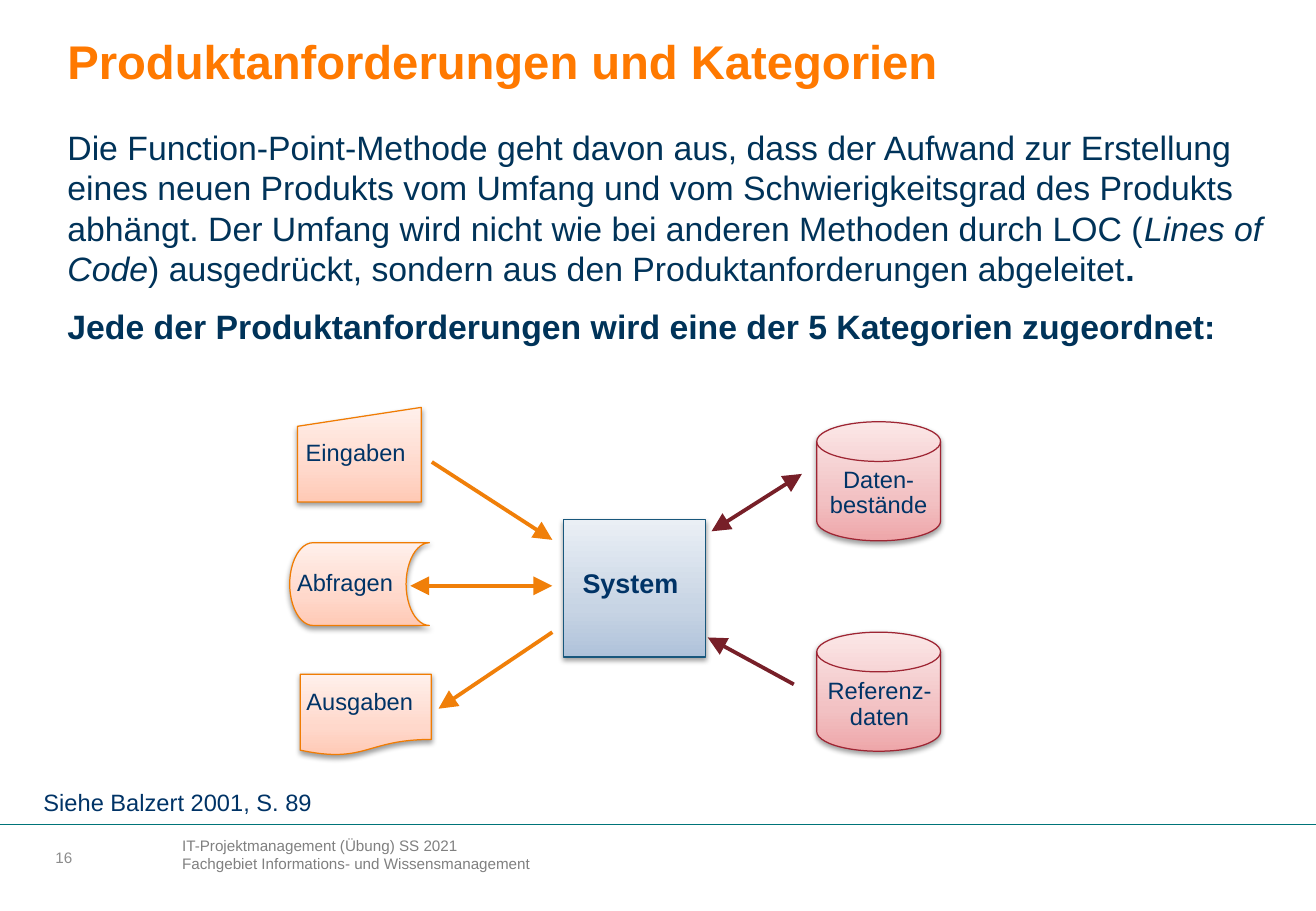
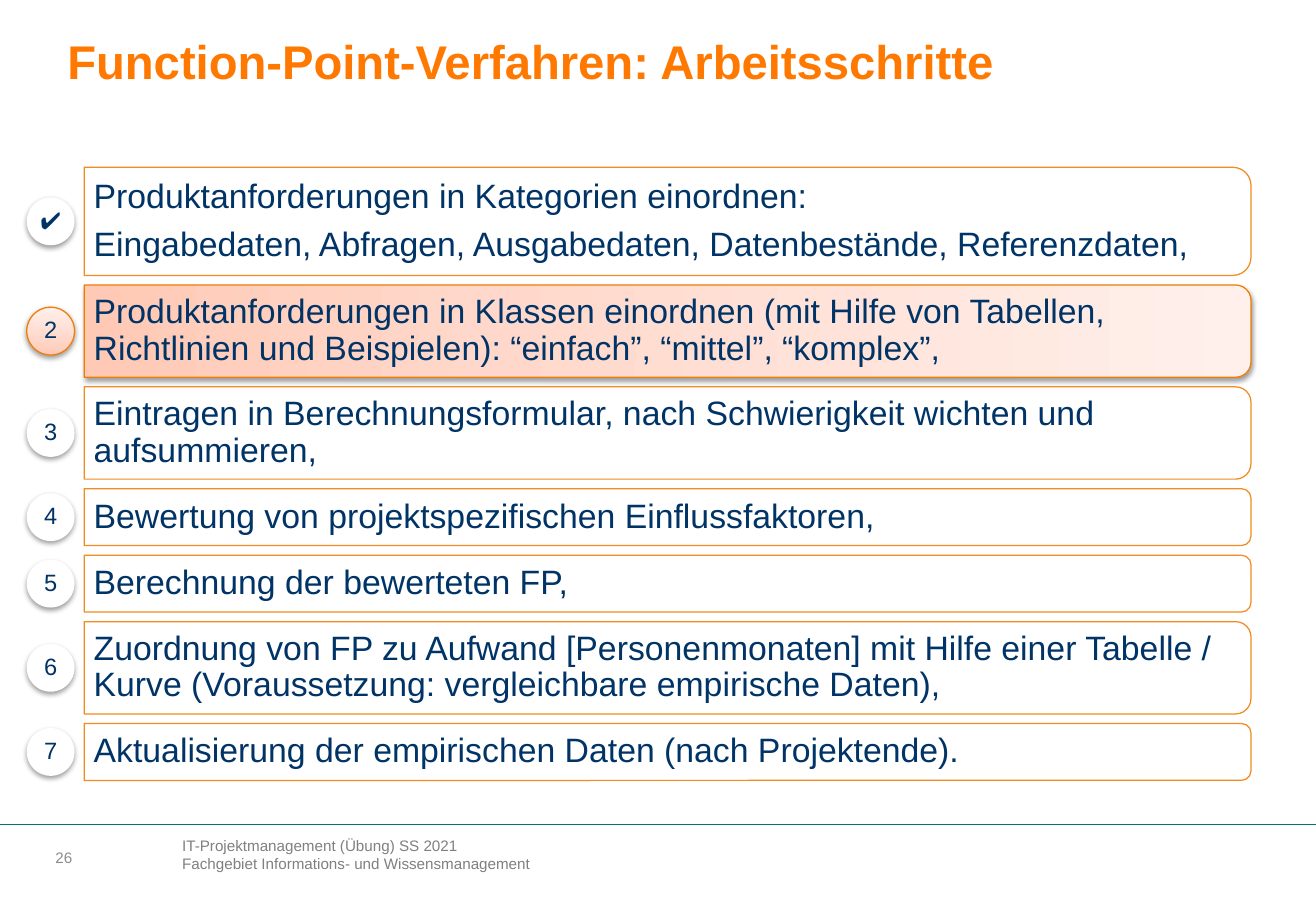
from dataclasses import dataclass

from lxml import etree
from pptx import Presentation
from pptx.dml.color import RGBColor
from pptx.enum.shapes import MSO_CONNECTOR, MSO_SHAPE
from pptx.enum.text import MSO_ANCHOR, PP_ALIGN
from pptx.oxml.ns import qn
from pptx.util import Cm, Pt

STRAIGHT = MSO_CONNECTOR.STRAIGHT
OVAL = MSO_SHAPE.OVAL
STEP_BAR = MSO_SHAPE.ROUND_2_SAME_RECTANGLE
PROCESS = MSO_SHAPE.FLOWCHART_PROCESS
MANUAL_INPUT = MSO_SHAPE.FLOWCHART_MANUAL_INPUT
STORED_DATA = MSO_SHAPE.FLOWCHART_STORED_DATA
DOCUMENT = MSO_SHAPE.FLOWCHART_DOCUMENT
DISK = MSO_SHAPE.FLOWCHART_MAGNETIC_DISK
TOP, MIDDLE = MSO_ANCHOR.TOP, MSO_ANCHOR.MIDDLE
LEFT, CENTER = PP_ALIGN.LEFT, PP_ALIGN.CENTER


@dataclass(frozen=True)
class Theme:
    font: str = "Arial"
    title: str = "FF7900"
    body: str = "003359"
    label: str = "003366"
    footer: str = "808080"
    number: str = "8C8C8C"
    rule: str = "007479"
    white: str = "FFFFFF"
    bar_line: str = "F18C21"
    orange_arrow: str = "F07F09"
    red_arrow: str = "771F28"
    # Gradients from bottom to top, then the outline
    orange: tuple = (("FFC9B5", "FFD8CB", "FFF0EB"), "F07C03")
    red: tuple = (("EEA6A9", "F2C1C3", "FBE7E7"), "9E2533")
    blue: tuple = (("AFC2DA", "C7D4E4", "EAEFF5"), "18577C")
    title_size: int = 28
    body_size: int = 20
    system_size: int = 16
    label_size: int = 14
    footer_size: int = 9
    tight: float = 0.9


T = Theme()
SLIDE_W, SLIDE_H = 27.52, 19.05
MARGIN, CONTENT_W = 1.16, 25.55
PADDING = (0.25, 0.13, 0.25, 0.13)
NO_PADDING = (0, 0, 0, 0)

# Content: a paragraph is a list of (text, style) runs
FOOTER = ["IT-Projektmanagement (Übung) SS 2021",
          "Fachgebiet Informations- und Wissensmanagement"]

CATEGORIES_TITLE = "Produktanforderungen und Kategorien"
CATEGORIES_TEXT = [
    [("Die Function-Point-Methode geht davon aus, dass der Aufwand zur Erstellung "
      "eines neuen Produkts vom Umfang und vom Schwierigkeitsgrad des Produkts "
      "abhängt. Der Umfang wird nicht wie bei anderen Methoden durch LOC (", ""),
     ("Lines of  Code", "i"),
     (") ausgedrückt, sondern aus den Produktanforderungen abgeleitet", ""),
     (".", "b")],
    [("Jede der Produktanforderungen wird eine der 5 Kategorien zugeordnet:", "b")],
]
CITATION = "Siehe Balzert 2001, S. 89"

# Label lines, outline, palette, box, padding
CATEGORIES = [
    (["Eingaben"], MANUAL_INPUT, T.orange, (6.22, 8.52, 2.59, 1.98), (0, 0, 0.15, 0.42)),
    (["Abfragen"], STORED_DATA, T.orange, (6.06, 11.35, 2.92, 1.73), (0, 0, 0.6, 0)),
    (["Ausgaben"], DOCUMENT, T.orange, (6.28, 14.1, 2.74, 1.7), (0, 0, 0.25, 0.16)),
    (["Daten-", "bestände"], DISK, T.red, (17.08, 8.82, 2.59, 2.49), (0, 0.08, 0, 0)),
    (["Referenz-", "daten"], DISK, T.red, (17.08, 13.22, 2.59, 2.49), (0.04, 0.14, 0, 0)),
]
SYSTEM = ("System", (11.78, 10.87, 2.97, 2.87))

# Start, end, colour, arrowheads at both ends
FLOWS = [
    ((9.03, 9.66), (11.55, 11.29), T.orange_arrow, False),
    ((8.58, 12.25), (11.55, 12.25), T.orange_arrow, True),
    ((11.55, 13.22), (9.17, 14.82), T.orange_arrow, False),
    ((16.77, 9.91), (14.88, 11.11), T.red_arrow, True),
    ((16.6, 14.31), (14.8, 13.33), T.red_arrow, False),
]

STEPS_TITLE = "Function-Point-Verfahren: Arbeitsschritte"
# Mark, paragraphs, bar height
STEPS = [
    ("✔", ["Produktanforderungen in Kategorien einordnen:",
           "Eingabedaten, Abfragen, Ausgabedaten, Datenbestände, Referenzdaten,"], 2.26),
    ("2", ["Produktanforderungen in Klassen einordnen (mit Hilfe von Tabellen, "
           "Richtlinien und Beispielen): “einfach”, “mittel”, “komplex”,"], 1.93),
    ("3", ["Eintragen in Berechnungsformular, nach Schwierigkeit wichten und "
           "aufsummieren,"], 1.93),
    ("4", ["Bewertung von projektspezifischen Einflussfaktoren,"], 1.19),
    ("5", ["Berechnung der bewerteten FP,"], 1.19),
    ("6", ["Zuordnung von FP zu Aufwand [Personenmonaten] mit Hilfe einer Tabelle / "
           "Kurve (Voraussetzung: vergleichbare empirische Daten),"], 1.93),
    ("7", ["Aktualisierung der empirischen Daten (nach Projektende)."], 1.19),
]
CURRENT_STEP = "2"
STEPS_TOP, STEP_GAP = 3.5, 0.2
BAR_LEFT, BAR_W = 1.76, 24.4
MARK_LEFT, MARK_SIZE = 0.56, 1.0


# Text
def plain(lines, style=""):
    return [[(line, style)] for line in lines]


def write(shape, paragraphs, size, color, align=LEFT, anchor=TOP, padding=PADDING,
          spacing=None, gap=0, wrap=True):
    frame = shape.text_frame
    frame.word_wrap = wrap
    frame.vertical_anchor = anchor
    (frame.margin_left, frame.margin_top,
     frame.margin_right, frame.margin_bottom) = map(Cm, padding)
    for index, runs in enumerate(paragraphs):
        paragraph = frame.add_paragraph() if index else frame.paragraphs[0]
        paragraph.alignment = align
        if spacing:
            paragraph.line_spacing = spacing
        if index and gap:
            paragraph.space_before = Pt(gap)
        for text, style in runs:
            run = paragraph.add_run()
            run.text = text
            run.font.name = T.font
            run.font.size = Pt(size)
            run.font.bold = "b" in style
            run.font.italic = "i" in style
            run.font.color.rgb = RGBColor.from_string(color)


def add_text(slide, box, paragraphs, size, color, **options):
    write(slide.shapes.add_textbox(*map(Cm, box)), paragraphs, size, color, **options)


# Shapes and lines
def fill_gradient(shape, colors):
    shape.fill.gradient()
    shape.fill.gradient_angle = 90
    stops = shape.element.spPr.find(qn("a:gradFill")).find(qn("a:gsLst"))
    for stop in list(stops):
        stops.remove(stop)
    for position, color in zip((0, 35000, 100000), colors):
        stop = etree.SubElement(stops, qn("a:gs"), pos=str(position))
        etree.SubElement(stop, qn("a:srgbClr"), val=color)


def add_shadow(shape):
    effects = shape.element.spPr.find(qn("a:effectLst"))
    shadow = etree.SubElement(effects, qn("a:outerShdw"), blurRad="40000", dist="20000",
                              dir="5400000", rotWithShape="0")
    black = etree.SubElement(shadow, qn("a:srgbClr"), val="000000")
    etree.SubElement(black, qn("a:alpha"), val="38000")


def add_figure(slide, outline, box, palette=None, line=None, shadow=True):
    shape = slide.shapes.add_shape(outline, *map(Cm, box))
    if palette:
        colors, line = palette
        fill_gradient(shape, colors)
    else:
        shape.fill.solid()
        shape.fill.fore_color.rgb = RGBColor.from_string(T.white)
    if line:
        shape.line.color.rgb = RGBColor.from_string(line)
        shape.line.width = Pt(0.75)
    else:
        shape.line.fill.background()
    shape.shadow.inherit = False
    if shadow:
        add_shadow(shape)
    return shape


def add_line(slide, start, end, color, width, heads=()):
    line = slide.shapes.add_connector(STRAIGHT, *map(Cm, (*start, *end)))
    line.line.color.rgb = RGBColor.from_string(color)
    line.line.width = Pt(width)
    properties = line.element.spPr
    for head in heads:
        etree.SubElement(properties.find(qn("a:ln")), qn(head), type="triangle",
                         w="lg", len="lg")
    etree.SubElement(properties, qn("a:effectLst"))


# Frame shared by the slides
def add_slide(deck, title, number):
    slide = deck.slides.add_slide(deck.slide_layouts[6])
    add_text(slide, (3.56, 17.36, 15.39, 1.2), plain(FOOTER), T.footer_size, T.footer)
    add_text(slide, (MARGIN, 17.61, 1.83, 0.64), plain([number]), T.footer_size, T.number,
             anchor=MIDDLE, padding=NO_PADDING)
    add_line(slide, (0, 17.25), (SLIDE_W, 17.25), T.rule, 0.5)
    add_text(slide, (MARGIN, 0.46, CONTENT_W, 1.6), plain([title], "b"),
             T.title_size, T.title, anchor=MIDDLE)
    return slide


def build_categories(deck):
    slide = add_slide(deck, CATEGORIES_TITLE, "16")
    add_text(slide, (MARGIN, 2.52, CONTENT_W, 5), CATEGORIES_TEXT, T.body_size, T.body,
             padding=(0.25, 0.13, 0.1, 0.13), gap=10)
    centred = dict(align=CENTER, anchor=MIDDLE, spacing=T.tight, wrap=False)
    # System and its five categories
    name, box = SYSTEM
    write(add_figure(slide, PROCESS, box, T.blue), plain([name], "b"), T.system_size,
          T.label, padding=(0, 0, 0.16, 0.15), **centred)
    for lines, outline, palette, box, padding in CATEGORIES:
        write(add_figure(slide, outline, box, palette), plain(lines), T.label_size,
              T.label, padding=padding, **centred)
    # Data flows
    for start, end, color, both in FLOWS:
        heads = ("a:headEnd", "a:tailEnd") if both else ("a:tailEnd",)
        add_line(slide, start, end, color, 2.25, heads)
    add_text(slide, (0.66, 16.34, 6.15, 0.86), plain([CITATION]), T.label_size, T.label,
             wrap=False)


def build_steps(deck):
    slide = add_slide(deck, STEPS_TITLE, "26")
    top = STEPS_TOP
    for mark, lines, height in STEPS:
        current = mark == CURRENT_STEP
        palette = T.orange if current else None
        middle = top + height / 2
        # The bar stands upright and is turned so its round corners face right
        upright = (BAR_LEFT + (BAR_W - height) / 2, middle - BAR_W / 2, height, BAR_W)
        bar = add_figure(slide, STEP_BAR, upright, palette, T.bar_line, shadow=current)
        bar.rotation = 90
        add_text(slide, (BAR_LEFT, top, BAR_W, height), plain(lines), T.body_size, T.label,
                 anchor=MIDDLE, padding=(0.2, 0.15, 0.2, 0.15), spacing=T.tight, gap=7)
        disc = add_figure(slide, OVAL,
                          (MARK_LEFT, middle - MARK_SIZE / 2, MARK_SIZE, MARK_SIZE), palette)
        write(disc, plain([mark], "" if mark.isdigit() else "b"), T.label_size, T.label,
              align=CENTER, anchor=MIDDLE, padding=NO_PADDING, spacing=T.tight)
        top += height + STEP_GAP


def main():
    deck = Presentation()
    deck.slide_width, deck.slide_height = Cm(SLIDE_W), Cm(SLIDE_H)
    build_categories(deck)
    build_steps(deck)
    deck.save("out.pptx")


if __name__ == "__main__":
    main()
